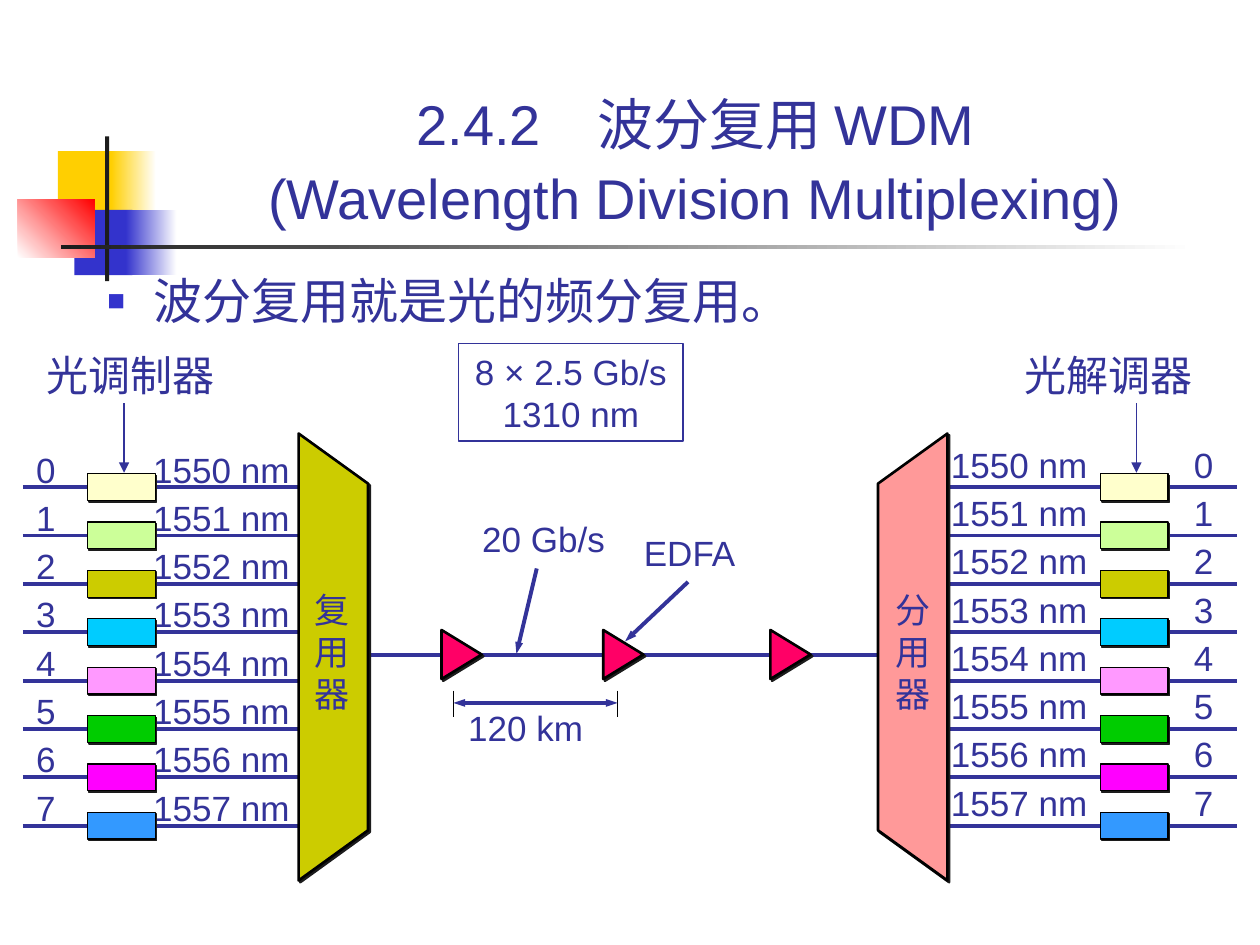
import pptx
import pptx.dml.color
import pptx.enum.shapes
import pptx.enum.text
import pptx.oxml
import pptx.oxml.ns
import pptx.util
from lxml import etree

Cm, Pt = pptx.util.Cm, pptx.util.Pt
KIND = pptx.enum.shapes.MSO_SHAPE
ALIGN = pptx.enum.text.PP_ALIGN
qn = pptx.oxml.ns.qn

HUE = {
    "ink": "333399", "black": "000000", "dark": "1C1C1C", "white": "FFFFFF",
    "gold": "FFCF01", "blue": "3333CC", "red": "FF0000",
    "amp": "FF0066", "mux": "CCCC00", "demux": "FF9999",
}
WAVES = ["FFFFCC", "CCFF99", "CCCC00", "00CCFF",
         "FF99FF", "00CC00", "FF00FF", "3399FF"]
PITCH = 0.975
ROWS = range(len(WAVES))


def rgb(code):
    return pptx.dml.color.RGBColor.from_string(code)


def node(parent, tag, **attrs):
    return etree.SubElement(parent, qn(tag), attrs)


def style(par, size, font="Arial", align=None):
    par.font.size = Pt(size)
    par.font.name = font
    par.font.color.rgb = rgb(HUE["ink"])
    if align is not None:
        par.alignment = align


def place(shape, left, top, width, height):
    shape.left, shape.top = Cm(left), Cm(top)
    shape.width, shape.height = Cm(width), Cm(height)


def paint(shape, fill, line):
    """Solid fill and black outline with a hard shadow at lower right."""
    shape.fill.solid()
    shape.fill.fore_color.rgb = rgb(fill)
    shape.line.color.rgb = rgb(HUE["black"])
    shape.line.width = Pt(line)
    shape.shadow.inherit = False
    effect = shape._element.spPr.find(qn("a:effectLst"))
    drop = node(effect, "a:outerShdw", blurRad="0", dist="17780",
                dir="2700000", algn="ctr", rotWithShape="0")
    node(drop, "a:srgbClr", val=HUE["dark"])


def block(slide, kind, box, fill, line):
    shape = slide.shapes.add_shape(kind, *map(Cm, box))
    paint(shape, fill, line)
    return shape


def deco(slide, box, start, end=None, angle=0):
    """Borderless bar, plain or fading from start to end."""
    shape = slide.shapes.add_shape(KIND.RECTANGLE, *map(Cm, box))
    shape.shadow.inherit = False
    shape.line.fill.background()
    if end is None:
        shape.fill.solid()
        shape.fill.fore_color.rgb = rgb(HUE[start])
        return
    shape.fill.gradient()
    shape.fill.gradient_angle = angle
    for stop, name in zip(shape.fill.gradient_stops, (start, end)):
        stop.color.rgb = rgb(HUE[name])


def wire(slide, start, end, width=2.25, hue="ink", ends=(), span="med"):
    line = slide.shapes.add_connector(
        pptx.enum.shapes.MSO_CONNECTOR.STRAIGHT, *map(Cm, start + end))
    line.line.color.rgb = rgb(HUE[hue])
    line.line.width = Pt(width)
    for tip in ends:
        node(line.line._get_or_add_ln(), tip, type="triangle", w=span, len="med")
    node(line._element.spPr, "a:effectLst")


def label(slide, box, lines, size=20, font="Arial", align=None):
    text = slide.shapes.add_textbox(*map(Cm, box))
    text.text_frame.word_wrap = False
    text.text_frame.text = "\n".join(lines)
    for par in text.text_frame.paragraphs:
        style(par, size, font, align)
    return text


def listing(slide, box, lines, tab):
    """Channel rows in two columns, one row per wire."""
    text = label(slide, box, lines)
    text.text_frame.word_wrap = True
    for par in text.text_frame.paragraphs:
        par.line_spacing = Pt(27.6)
        tabs = etree.Element(qn("a:tabLst"))
        node(tabs, "a:tab", pos=str(Cm(tab)), algn="l")
        par._p.pPr.find(qn("a:defRPr")).addprevious(tabs)


def prism(slide, points, fill):
    first, *rest = [(Cm(x), Cm(y)) for x, y in points]
    path = slide.shapes.build_freeform(*first)
    path.add_line_segments(rest, close=True)
    paint(path.convert_to_shape(), fill, 1.5)


def motif(slide):
    deco(slide, (1.17, 3.05, 1.22, 1.32), "gold")
    deco(slide, (2.24, 3.05, 0.91, 1.32), "gold", "white")
    deco(slide, (1.5, 4.23, 1.17, 1.32), "blue")
    deco(slide, (2.54, 4.23, 1.02, 1.32), "blue", "white")
    deco(slide, (0.36, 4.02, 1.55, 1.17), "white", "red", 45)
    deco(slide, (2.12, 2.75, 0.08, 2.92), "dark")
    deco(slide, (1.23, 4.94, 22.86, 0.09), "dark", "white")


def heading(slide):
    title = slide.shapes.title
    place(title, 3.2, 0.71, 21.64, 4.06)
    frame = title.text_frame
    frame.auto_size = pptx.enum.text.MSO_AUTO_SIZE.NONE
    frame.vertical_anchor = pptx.enum.text.MSO_ANCHOR.BOTTOM
    frame.text = "2.4.2　波分复用 WDM\v(Wavelength Division Multiplexing)"
    frame.paragraphs[0].line_spacing = Pt(42)
    style(frame.paragraphs[0], 32, align=ALIGN.CENTER)


def bullet(slide):
    body = slide.placeholders[1]
    place(body, 1.91, 5.33, 23.01, 11.43)
    frame = body.text_frame
    frame.auto_size = pptx.enum.text.MSO_AUTO_SIZE.NONE
    frame.text = "波分复用就是光的频分复用。"
    par = frame.paragraphs[0]
    par.space_before = Pt(0)
    prop = par._p.get_or_add_pPr()
    prop.set("marL", str(Cm(0.94)))
    prop.set("indent", str(Cm(-0.94)))
    node(node(prop, "a:buClr"), "a:srgbClr", val=HUE["blue"])
    node(prop, "a:buSzPct", val="60000")
    node(prop, "a:buFont", typeface="Arial")
    node(prop, "a:buChar", char="■")
    style(par, 28)


def side(slide, start, end, left):
    """Wires of one end of the link, each with its coloured unit."""
    for row in ROWS:
        y = 9.82 + PITCH * row
        wire(slide, (start, y), (end, y))
    for row, fill in zip(ROWS, WAVES):
        block(slide, KIND.RECTANGLE, (left, 9.55 + PITCH * row, 1.37, 0.54),
              fill, 0.75)


def link(slide):
    wire(slide, (6.45, 13.2), (18.95, 13.2))
    for left in (8.81, 12.07, 15.44):
        amp = block(slide, KIND.ISOSCELES_TRIANGLE, (left, 12.79, 0.99, 0.81),
                    HUE["amp"], 1.5)
        amp.rotation = 90
    prism(slide, [(6.02, 17.75), (7.42, 16.74), (7.42, 9.75), (6.02, 8.74)],
          HUE["mux"])
    prism(slide, [(19.1, 17.75), (17.7, 16.74), (17.7, 9.75), (19.1, 8.74)],
          HUE["demux"])


def notes(slide):
    rate = slide.shapes.add_shape(
        KIND.RECTANGLE, Cm(9.25), Cm(6.93), Cm(4.52), Cm(1.96))
    rate.shadow.inherit = False
    rate.fill.background()
    rate.line.color.rgb = rgb(HUE["ink"])
    rate.line.width = Pt(0.75)
    rate.text_frame.word_wrap = False
    rate.text_frame.text = "8 × 2.5 Gb/s\n1310 nm"
    for par in rate.text_frame.paragraphs:
        style(par, 20, align=ALIGN.CENTER)
    tail = ("a:tailEnd",)
    label(slide, (9.47, 10.31, 3.2, 1.12), ["20 Gb/s"])
    wire(slide, (10.82, 11.46), (10.41, 13.18), ends=tail, span="sm")
    label(slide, (12.73, 10.59, 2.6, 1.12), ["EDFA"])
    wire(slide, (13.87, 11.73), (12.6, 12.93), ends=tail, span="sm")
    label(slide, (6.1, 11.73, 1.22, 2.79), "复用器", font="Times New Roman")
    label(slide, (17.81, 11.73, 1.22, 2.79), "分用器", font="Times New Roman")
    for x in (9.14, 12.45):
        wire(slide, (x, 13.92), (x, 14.45), 0.75, "black")
    wire(slide, (9.14, 14.17), (12.45, 14.17), ends=("a:headEnd",) + tail, span="sm")
    label(slide, (9.19, 14.12, 3.1, 1.12), ["120 km"])
    for left, x, name in ((0.69, 2.5, "光调制器"), (20.4, 22.91, "光解调器")):
        label(slide, (left, 6.93, 3.89, 1.27), [name], 24, "Cabin")
        wire(slide, (x, 8.13), (x, 9.53), 0.75, ends=tail)


def main():
    deck = pptx.Presentation()
    deck.slide_width, deck.slide_height = Cm(25.4), Cm(19.05)
    slide = deck.slides.add_slide(deck.slide_layouts[1])
    motif(slide)
    waves = [f"{1550 + row} nm" for row in ROWS]
    listing(slide, (18.92, 8.68, 6.2, 8.05),
            [f"{wave}\t{row}" for row, wave in zip(ROWS, waves)], 4.9)
    listing(slide, (0.48, 8.78, 6.4, 8.05),
            [f"{row}\t{wave}" for row, wave in zip(ROWS, waves)], 2.36)
    heading(slide)
    bullet(slide)
    side(slide, 19.1, 24.94, 22.18)
    side(slide, 0.46, 6.3, 1.76)
    link(slide)
    notes(slide)
    deck.save("out.pptx")


if __name__ == "__main__":
    main()
